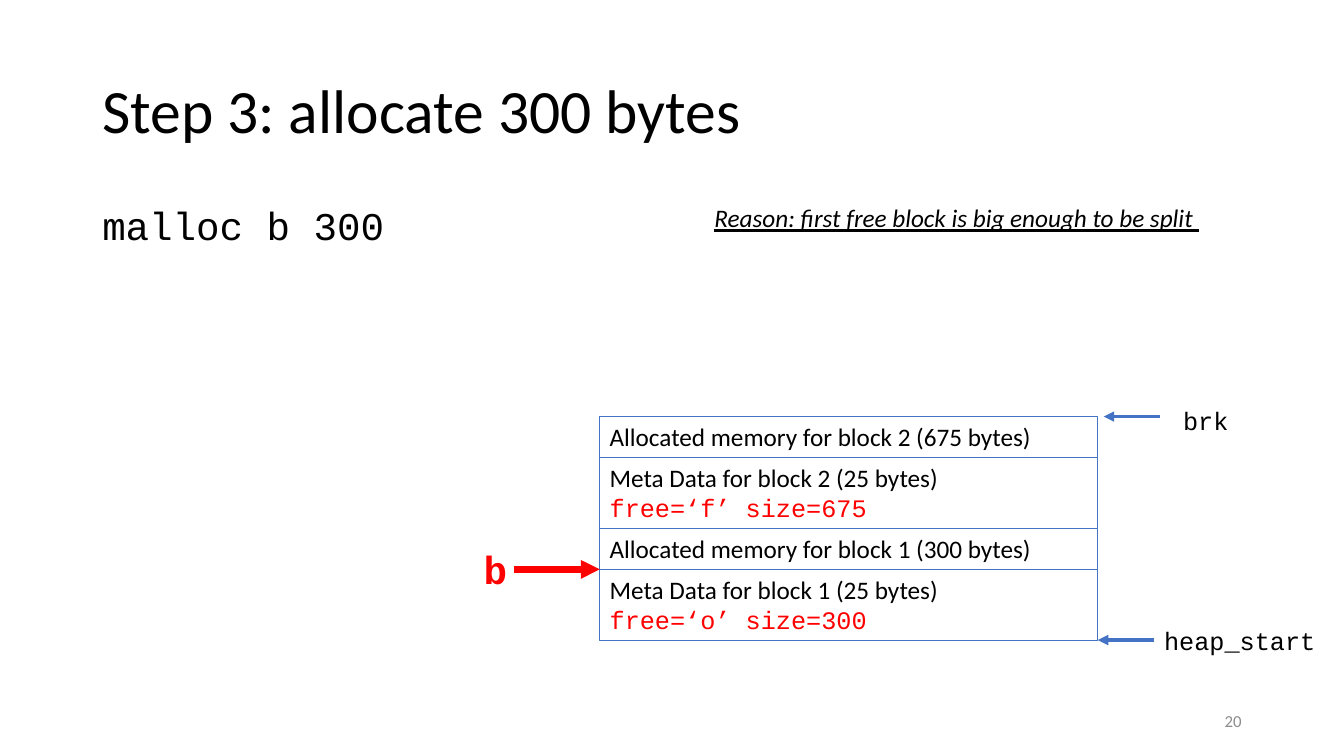
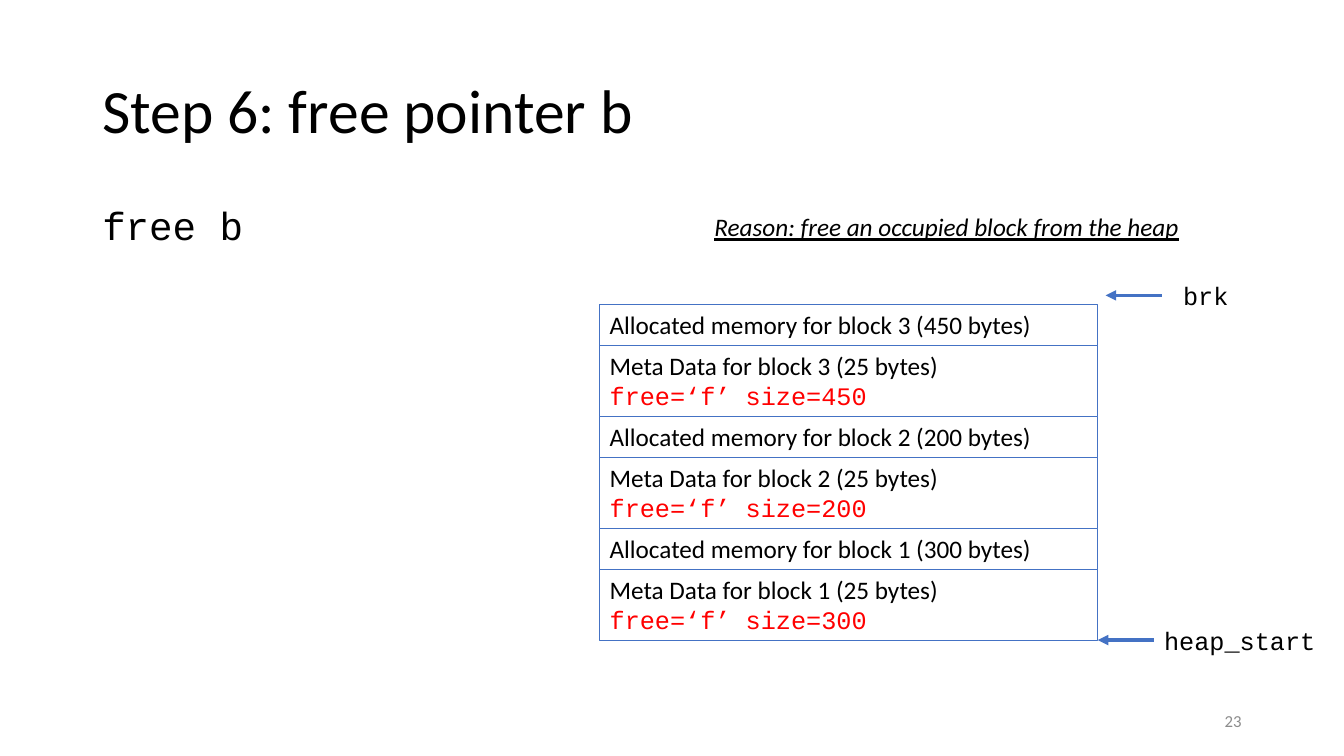
from lxml import etree
from pptx import Presentation
from pptx.dml.color import RGBColor
from pptx.enum.shapes import MSO_CONNECTOR, MSO_SHAPE
from pptx.enum.text import MSO_ANCHOR, MSO_AUTO_SIZE, PP_ALIGN
from pptx.oxml.ns import qn
from pptx.util import Pt

BLACK = RGBColor(0x00, 0x00, 0x00)
WHITE = RGBColor(0xFF, 0xFF, 0xFF)
RED = RGBColor(0xFF, 0x00, 0x00)
BLUE = RGBColor(0x44, 0x72, 0xC4)
GRAY = RGBColor(0x8C, 0x8C, 0x8C)

SANS, MONO = "Calibri", "Courier New"
STRAIGHT, RECTANGLE = MSO_CONNECTOR.STRAIGHT, MSO_SHAPE.RECTANGLE
TOP, MIDDLE = MSO_ANCHOR.TOP, MSO_ANCHOR.MIDDLE
LEFT, RIGHT = PP_ALIGN.LEFT, PP_ALIGN.RIGHT
FIT = MSO_AUTO_SIZE.SHAPE_TO_FIT_TEXT

MARGIN, CONTENT_WIDTH = 66, 828
HEAP_LEFT, HEAP_WIDTH, HEAP_BOTTOM = 428.4, 355.8, 457.6
MEMORY_HEIGHT, META_HEIGHT = 29.1, 50.9
BLOCK_HEIGHT = MEMORY_HEIGHT + META_HEIGHT
LABEL_HEIGHT, ARROW_LENGTH = 29.1, 40


class HeapDeck:
    def __init__(self):
        self.deck = Presentation()
        self.deck.slide_width, self.deck.slide_height = Pt(960), Pt(540)
        self.slide = None

    def add_span(self, para, text, size=18, font=SANS, color=BLACK, bold=False,
                 slanted=False):
        """Add one run; slanted text is italic and underlined."""
        span = para.add_run()
        span.text = text
        span.font.size, span.font.name = Pt(size), font
        span.font.color.rgb = color
        span.font.bold = bold
        span.font.italic = span.font.underline = slanted

    def text(self, left, top, width, height, text, anchor=TOP, align=LEFT,
             spacing=1.0, **style):
        box = self.slide.shapes.add_textbox(Pt(left), Pt(top), Pt(width), Pt(height))
        box.text_frame.word_wrap = True
        box.text_frame.vertical_anchor = anchor
        para = box.text_frame.paragraphs[0]
        para.alignment, para.line_spacing = align, spacing
        self.add_span(para, text, **style)
        return box

    def label(self, left, top, width, text, height=LABEL_HEIGHT, **style):
        """One line of text that never wraps."""
        frame = self.text(left, top, width, height, text, **style).text_frame
        frame.word_wrap = False
        frame.auto_size = FIT

    def page(self, title, command, reason, reason_top, reason_width, number):
        self.slide = self.deck.slides.add_slide(self.deck.slide_layouts[6])
        self.text(MARGIN, 28.8, CONTENT_WIDTH, 104.4, title, anchor=MIDDLE,
                  spacing=0.9, size=44)
        self.text(MARGIN, 144, CONTENT_WIDTH, 342.6, command, spacing=0.9,
                  size=28, font=MONO)
        self.label(503.3, reason_top, reason_width, reason, slanted=True)
        self.text(678, 500.5, 216, 28.8, number, anchor=MIDDLE, align=RIGHT,
                  size=12, color=GRAY)

    def cell(self, top, height, text, header=None):
        box = self.slide.shapes.add_shape(
            RECTANGLE, Pt(HEAP_LEFT), Pt(top), Pt(HEAP_WIDTH), Pt(height))
        box.shadow.inherit = False
        box.fill.solid()
        box.fill.fore_color.rgb = WHITE
        box.line.color.rgb, box.line.width = BLUE, Pt(1)
        frame = box.text_frame
        frame.word_wrap = True
        frame.vertical_anchor = TOP
        para = frame.paragraphs[0]
        para.alignment = LEFT
        self.add_span(para, text)
        if header:
            para = frame.add_paragraph()
            para.alignment = LEFT
            self.add_span(para, header, font=MONO, color=RED)

    def heap(self, blocks):
        """Stack (flag, size) blocks upwards from the start of the heap."""
        for number, (flag, size) in enumerate(blocks, start=1):
            top = HEAP_BOTTOM - number * BLOCK_HEIGHT
            self.cell(top + MEMORY_HEIGHT, META_HEIGHT,
                      f"Meta Data for block {number} (25 bytes)",
                      f"free=‘{flag}’ size={size}")
            self.cell(top, MEMORY_HEIGHT,
                      f"Allocated memory for block {number} ({size} bytes)")
        heap_right = HEAP_LEFT + HEAP_WIDTH
        self.arrow(heap_right + ARROW_LENGTH, heap_right, 457.2)
        self.label(824.4, 442.8, 123, "heap_start", font=MONO)

    def arrow(self, start, tip, y, color=BLUE, weight=2.5):
        connector = self.slide.shapes.add_connector(
            STRAIGHT, Pt(start), Pt(y), Pt(tip), Pt(y))
        connector.line.color.rgb, connector.line.width = color, Pt(weight)
        properties = connector.element.spPr
        outline = properties.find(qn("a:ln"))
        etree.SubElement(outline, qn("a:tailEnd"), type="triangle")
        etree.SubElement(properties, qn("a:effectLst"))

    def heap_end(self, tip, y, label_top):
        self.arrow(tip + ARROW_LENGTH, tip, y)
        self.label(838, label_top, 46.8, "brk", font=MONO)

    def pointer(self, name, block):
        """Point at the memory of a block, just above its meta data."""
        y = HEAP_BOTTOM - (block - 1) * BLOCK_HEIGHT - META_HEIGHT
        self.arrow(367.2, HEAP_LEFT, y, RED, 4.5)
        self.label(338.4, y - 20.8, 29.5, name, height=41, size=28, font=MONO,
                   color=RED, bold=True)


def main():
    heap_deck = HeapDeck()

    heap_deck.page("Step 3: allocate 300 bytes", "malloc b 300",
                   "Reason: first free block is big enough to be split ",
                   141.1, 364.3, "20")
    heap_deck.heap([("o", 300), ("f", 675)])
    heap_deck.heap_end(788.4, 297.6, 285.8)
    heap_deck.pointer("b", 1)

    heap_deck.page("Step 6: free pointer b", "free b",
                   "Reason: free an occupied block from the heap",
                   147.6, 349.9, "23")
    heap_deck.heap([("f", 300), ("f", 200), ("f", 450)])
    heap_deck.heap_end(789.8, 211, 196.6)

    heap_deck.deck.save("out.pptx")


if __name__ == "__main__":
    main()
